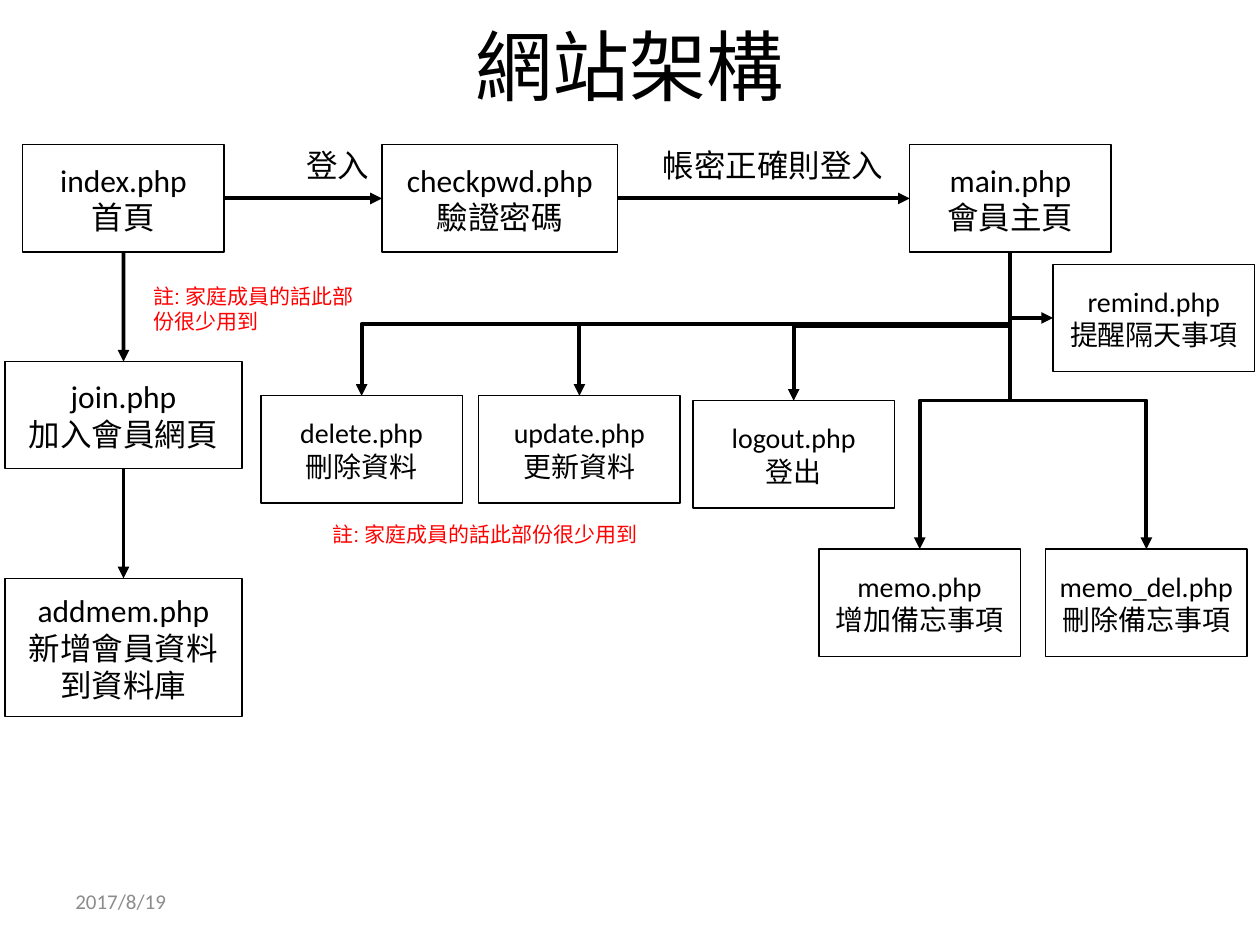
from lxml import etree
from pptx import Presentation
from pptx import util as u
from pptx.dml.color import RGBColor
from pptx.enum import shapes, text
from pptx.oxml.ns import qn

COLORS = {"ink": "000000", "note": "FF0000", "date": "8C8C8C"}
BOX_WIDTH, BOX_HEIGHT = 4.06, 2.16
TOP, LEFT, BOTTOM, RIGHT = 0, 1, 2, 3
INSET = 0.25
NOTE = "註: 家庭成員的話此部份很少用到"

# name: (left, top, width, height, font size, caption), lengths in cm
PAGES = {
    "index.php": (0.46, 2.92, BOX_WIDTH, BOX_HEIGHT, 18, "首頁"),
    "checkpwd.php": (7.7, 2.92, 4.75, BOX_HEIGHT, 18, "驗證密碼"),
    "main.php": (18.34, 2.92, BOX_WIDTH, BOX_HEIGHT, 18, "會員主頁"),
    "join.php": (0.1, 7.29, 4.78, BOX_HEIGHT, 18, "加入會員網頁"),
    "addmem.php": (0.1, 11.66, 4.78, 2.79, 18, "新增會員資料到資料庫"),
    "delete.php": (5.26, 7.98, BOX_WIDTH, BOX_HEIGHT, 16, "刪除資料"),
    "update.php": (9.65, 7.98, BOX_WIDTH, BOX_HEIGHT, 16, "更新資料"),
    "logout.php": (13.97, 8.08, BOX_WIDTH, BOX_HEIGHT, 16, "登出"),
    "memo.php": (16.51, 11.07, BOX_WIDTH, BOX_HEIGHT, 16, "增加備忘事項"),
    "memo_del.php": (21.08, 11.07, BOX_WIDTH, BOX_HEIGHT, 16, "刪除備忘事項"),
    "remind.php": (21.23, 5.33, BOX_WIDTH, BOX_HEIGHT, 16, "提醒隔天事項"),
}
STRAIGHT_LINKS = [
    ("index.php", RIGHT, "checkpwd.php", LEFT),
    ("checkpwd.php", RIGHT, "main.php", LEFT),
    ("index.php", BOTTOM, "join.php", TOP),
    ("join.php", BOTTOM, "addmem.php", TOP),
]
MAIN_LINKS = [
    ("logout.php", TOP), ("update.php", TOP), ("delete.php", TOP),
    ("memo_del.php", TOP), ("memo.php", TOP), ("remind.php", LEFT),
]


def apply(target, values):
    for name, value in values.items():
        setattr(target, name, value)


def write(shape, lines, size, font="Calibri", color="ink", align=None,
          anchor=text.MSO_ANCHOR.TOP, inset=None):
    frame = shape.text_frame
    apply(frame, {"word_wrap": True, "vertical_anchor": anchor})
    if inset is not None:
        sides = ("margin_left", "margin_top", "margin_right", "margin_bottom")
        apply(frame, dict.fromkeys(sides, u.Cm(inset)))
    frame.text = "\n".join(lines)
    for paragraph in frame.paragraphs:
        paragraph.alignment = align
        run_font = paragraph.runs[0].font
        apply(run_font, {"name": font, "size": u.Pt(size)})
        run_font.color.rgb = RGBColor.from_string(COLORS[color])


def add_label(slide, position, content, size, **style):
    box = slide.shapes.add_textbox(*map(u.Cm, position))
    write(box, [content], size, **style)


def add_page(slide, name, left, top, width, height, size, caption):
    shape = slide.shapes.add_shape(
        shapes.MSO_SHAPE.RECTANGLE, *map(u.Cm, (left, top, width, height)))
    shape.shadow.inherit = False
    shape.fill.background()
    shape.line.color.rgb = RGBColor.from_string(COLORS["ink"])
    shape.line.width = u.Pt(0.75)
    write(shape, [name, caption], size, align=text.PP_ALIGN.CENTER,
          anchor=text.MSO_ANCHOR.MIDDLE, inset=INSET)
    return shape


def add_arrow(slide, kind, start, start_side, end, end_side):
    connector = slide.shapes.add_connector(kind, 0, 0, 0, 0)
    connector.begin_connect(start, start_side)
    connector.end_connect(end, end_side)
    connector.line.color.rgb = RGBColor.from_string(COLORS["ink"])
    connector.line.width = u.Pt(2.25)
    properties = connector._element.spPr
    line = properties.find(qn("a:ln"))
    etree.SubElement(line, qn("a:tailEnd"), type="triangle")
    etree.SubElement(properties, qn("a:effectLst"))
    return connector


def add_elbow(slide, start, end, end_side):
    """Bent arrow that leaves the bottom of start downwards."""
    connector = add_arrow(slide, shapes.MSO_CONNECTOR.ELBOW,
                          start, BOTTOM, end, end_side)
    begin_x, begin_y = connector.begin_x, connector.begin_y
    across, down = connector.end_x - begin_x, connector.end_y - begin_y
    # The turned frame swaps its width and height around the same centre.
    apply(connector, {
        "left": begin_x + (across - down) // 2,
        "top": begin_y + (down - abs(across)) // 2,
        "width": down,
        "height": abs(across),
    })
    frame = connector._element.spPr.find(qn("a:xfrm"))
    frame.set("rot", str((270 if across > 0 else 90) * 60000))
    frame.set("flipH", "1" if across > 0 else "0")
    frame.set("flipV", "0")
    if end_side == LEFT:
        geometry = connector._element.spPr.find(qn("a:prstGeom"))
        geometry.set("prst", "bentConnector2")


def main():
    presentation = Presentation()
    apply(presentation, {"slide_width": u.Cm(25.4), "slide_height": u.Cm(19.05)})
    slide = presentation.slides.add_slide(presentation.slide_layouts[6])

    add_label(slide, (1.27, -0.28, 22.86, 3.18), "網站架構", 44,
              align=text.PP_ALIGN.CENTER, anchor=text.MSO_ANCHOR.MIDDLE)
    add_label(slide, (1.27, 17.65, 5.92, 1.02), "2017/8/19", 12,
              color="date", anchor=text.MSO_ANCHOR.MIDDLE)

    pages = {name: add_page(slide, name, *values)
             for name, values in PAGES.items()}
    for start, start_side, end, end_side in STRAIGHT_LINKS:
        add_arrow(slide, shapes.MSO_CONNECTOR.STRAIGHT,
                  pages[start], start_side, pages[end], end_side)
    for name, side in MAIN_LINKS:
        add_elbow(slide, pages["main.php"], pages[name], side)

    add_label(slide, (5.92, 2.69, 1.98, 1.32), "登入", 18, inset=INSET)
    add_label(slide, (13.11, 2.69, 5.13, 1.32), "帳密正確則登入", 18, inset=INSET)
    for position in ((2.84, 5.59, 4.6, 1.27), (6.45, 10.39, 6.81, 0.79)):
        add_label(slide, position, NOTE, 12, font="Arial", color="note")

    presentation.save("out.pptx")


if __name__ == "__main__":
    main()
